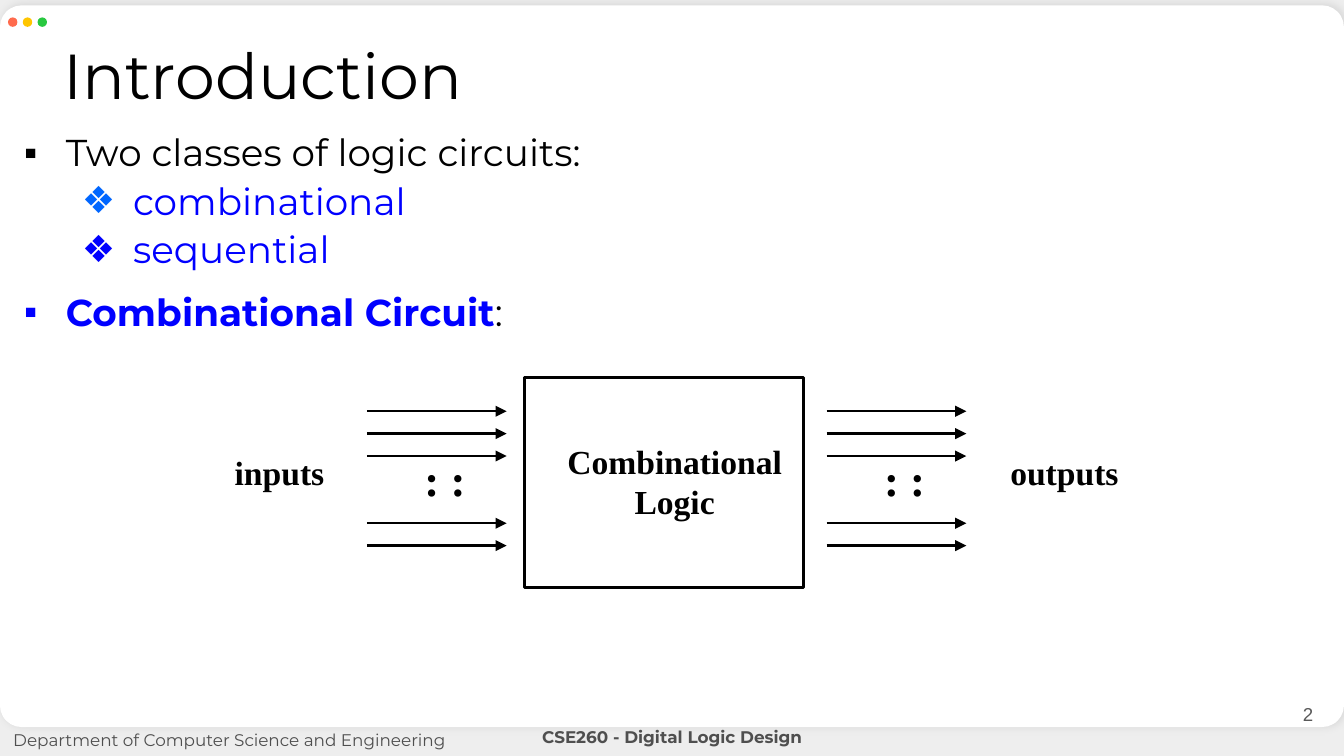
from dataclasses import dataclass

from lxml import etree
from pptx import Presentation
from pptx import util as u
from pptx.dml.color import RGBColor
from pptx.enum import shapes, text
from pptx.oxml import parse_xml
from pptx.oxml.ns import nsdecls, qn

COLOURS = {
    "backdrop": "EEEEEE", "panel": "FFFFFF", "ink": "000000",
    "footer": "4F4F4F", "number": "595959", "blue": "0000FF", "sky": "0066FF",
    "red": "FF6B4D", "yellow": "FFC600", "green": "28C840",
}
SANS, SERIF = "Montserrat", "Times New Roman"
LEFT, CENTER, RIGHT = text.PP_ALIGN.LEFT, text.PP_ALIGN.CENTER, text.PP_ALIGN.RIGHT


@dataclass
class Label:
    words: str
    left: float
    top: float
    width: float
    height: float
    size: float = 18
    font: str = SERIF
    colour: str = "ink"
    bold: bool = True
    align: text.PP_ALIGN = CENTER
    margin: float = 0.05
    anchor: text.MSO_ANCHOR = text.MSO_ANCHOR.TOP


@dataclass
class Item:
    spans: list[tuple[str, str, bool]]  # words, colour, bold
    bullet: str
    bullet_colour: str
    level: int = 0
    left: float = 0.38
    hanging: float = 0.31
    before: float = 0


def colour(name: str) -> RGBColor:
    return RGBColor.from_string(COLOURS[name])


def style(font, size: float, family: str, shade: str, bold: bool = False) -> None:
    font.size, font.name, font.bold = u.Pt(size), family, bold
    font.color.rgb = colour(shade)


def place(shape, left: float, top: float, width: float, height: float) -> None:
    shape.left, shape.top = u.Inches(left), u.Inches(top)
    shape.width, shape.height = u.Inches(width), u.Inches(height)


def prepare(frame, margin: float = 0.1, anchor=text.MSO_ANCHOR.TOP) -> None:
    frame.word_wrap = True
    frame.auto_size = text.MSO_AUTO_SIZE.NONE
    frame.vertical_anchor = anchor
    frame.margin_left = frame.margin_right = u.Inches(0.1)
    frame.margin_top = frame.margin_bottom = u.Inches(margin)


def add_label(page, label: Label) -> None:
    box = page.shapes.add_textbox(*map(u.Inches, (label.left, label.top, label.width, label.height)))
    prepare(box.text_frame, label.margin, label.anchor)
    box.text_frame.text = label.words
    for para in box.text_frame.paragraphs:
        para.alignment = label.align
        for span in para.runs:
            style(span.font, label.size, label.font, label.colour, label.bold)


def add_solid(page, kind, fill: str, left: float, top: float, width: float, height: float):
    shape = page.shapes.add_shape(kind, *map(u.Inches, (left, top, width, height)))
    shape.shadow.inherit = False
    shape.fill.solid()
    shape.fill.fore_color.rgb = colour(fill)
    shape.line.fill.background()
    return shape


def add_arrow(page, left: float, right: float, y: float) -> None:
    arrow = page.shapes.add_connector(
        shapes.MSO_CONNECTOR.STRAIGHT, *map(u.Inches, (left, y, right, y)))
    arrow.line.color.rgb = colour("ink")
    arrow.line.width = u.Pt(1.25)
    outline = arrow.element.spPr.find(qn("a:ln"))
    etree.SubElement(outline, qn("a:tailEnd"), type="triangle")
    etree.SubElement(arrow.element.spPr, qn("a:effectLst"))


def add_item(para, item: Item) -> None:
    para.level = item.level
    para.line_spacing = 0.9
    para.space_before = u.Pt(item.before)
    properties = para._p.get_or_add_pPr()
    properties.set("marL", str(u.Inches(item.left)))
    properties.set("indent", str(-u.Inches(item.hanging)))
    bullet_colour = etree.SubElement(properties, qn("a:buClr"))
    etree.SubElement(bullet_colour, qn("a:srgbClr"), val=COLOURS[item.bullet_colour])
    etree.SubElement(properties, qn("a:buChar"), char=item.bullet)
    for words, shade, bold in item.spans:
        span = para.add_run()
        span.text = words
        style(span.font, 20, SANS, shade, bold)


def main() -> None:
    # Widescreen page, 16:9
    deck = Presentation()
    deck.slide_width = u.Inches(10)
    deck.slide_height = u.Inches(10 * 9 / 16)
    page = deck.slides.add_slide(deck.slide_layouts[1])
    page.background.fill.solid()
    page.background.fill.fore_color.rgb = colour("backdrop")

    # Window panel, sent behind the placeholders
    panel = add_solid(page, shapes.MSO_SHAPE.ROUNDED_RECTANGLE, "panel", 0, 0.04, 10, 5.37)
    panel.adjustments[0] = 0.03
    effects = panel.element.spPr.find(qn("a:effectLst"))
    effects.append(parse_xml(
        f'<a:outerShdw {nsdecls("a")} blurRad="{u.Pt(4.5)}" dist="{u.Pt(1.5)}" dir="0">'
        f'<a:srgbClr val="{COLOURS["ink"]}"><a:alpha val="9000"/></a:srgbClr></a:outerShdw>'))
    panel.element.getparent().insert(2, panel.element)

    # Window buttons
    for index, shade in enumerate(("red", "yellow", "green")):
        add_solid(page, shapes.MSO_SHAPE.OVAL, shade, 0.06 + 0.11 * index, 0.13, 0.07, 0.07)

    # Title
    title = page.shapes.title
    place(title, 0.37, 0.17, 9.63, 0.77)
    prepare(title.text_frame)
    title.text_frame.text = "Introduction"
    heading = title.text_frame.paragraphs[0]
    heading.alignment = LEFT
    style(heading.runs[0].font, 34, SANS, "ink")

    # Bulleted list
    body = page.placeholders[1]
    place(body, 0.01, 0.9, 9.96, 2.04)
    prepare(body.text_frame)
    sub = dict(bullet="❖", level=1, left=0.88, hanging=0.38, before=4.4)
    items = [
        Item([("Two classes of logic circuits:", "ink", False)], "▪", "ink"),
        Item([("combinational", "blue", False)], bullet_colour="sky", **sub),
        Item([("sequential", "blue", False)], bullet_colour="blue", **sub),
        Item([("Combinational Circuit", "blue", True), (":", "ink", False)],
             "▪", "blue", before=12),
    ]
    for index, item in enumerate(items):
        para = body.text_frame.add_paragraph() if index else body.text_frame.paragraphs[0]
        add_item(para, item)

    # Logic block
    block = add_solid(page, shapes.MSO_SHAPE.RECTANGLE, "panel", 3.9, 2.81, 2.08, 1.56)
    block.fill.background()
    block.line.color.rgb = colour("ink")
    block.line.width = u.Pt(1.5)
    add_label(page, Label("Combinational\nLogic", 3.98, 3.23, 2.08, 0.52))

    # Input and output arrows, with dots in the skipped rows
    for left in (2.73, 6.15):
        for row in (0, 1, 2, 5, 6):
            add_arrow(page, left, left + 1.04, 3.06 + row / 6)
        add_label(page, Label(": :", left + 0.33, 3.31, 0.52, 0.52, size=24, align=LEFT))
    add_label(page, Label("inputs", 1.56, 3.31, 1.04, 0.52))
    add_label(page, Label("outputs", 7.4, 3.31, 1.04, 0.52))

    # Footer
    footer = dict(size=9, font=SANS, colour="footer", margin=0.1)
    add_label(page, Label("Department of Computer Science and Engineering",
                          0, 5.33, 5.54, 0.37, bold=False, align=LEFT, **footer))
    add_label(page, Label("CSE260 - Digital Logic Design", 3.22, 5.31, 3.56, 0.35, **footer))
    add_label(page, Label("2", 9.27, 5.1, 0.6, 0.43, 10, "Arial", "number", False,
                          RIGHT, 0.1, text.MSO_ANCHOR.MIDDLE))

    deck.save("out.pptx")


if __name__ == "__main__":
    main()
